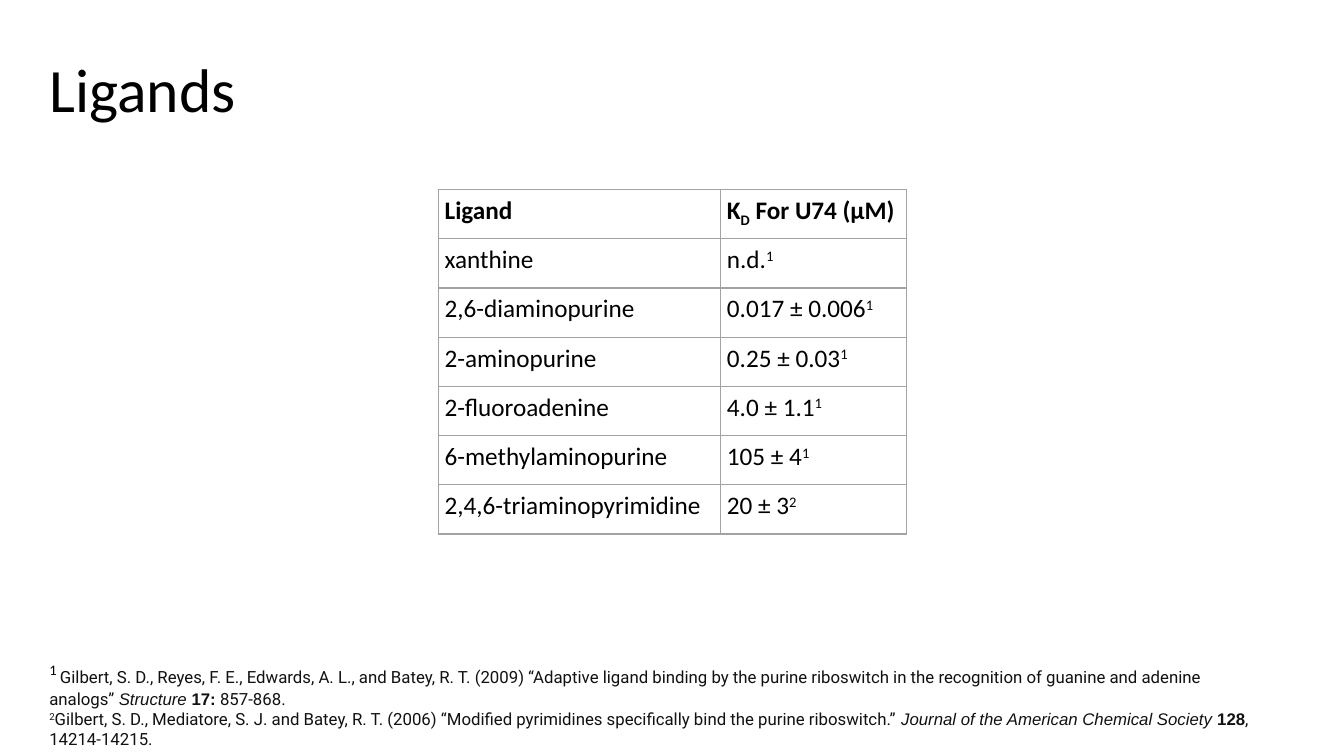
import pptx
import pptx.dml.color
import pptx.enum.text
import pptx.oxml
import pptx.oxml.ns
import pptx.util

Inches = pptx.util.Inches
Pt = pptx.util.Pt
RGBColor = pptx.dml.color.RGBColor

BLACK = RGBColor(0x00, 0x00, 0x00)
INK = RGBColor(0x11, 0x11, 0x11)
GRID = RGBColor(0xA3, 0xA3, 0xA3)
WHITE = RGBColor(0xFF, 0xFF, 0xFF)

LEFT = 0.39
COL_WIDTHS = (2.8, 1.84)
ROW_HEIGHT = 3.42 / 7
CELL_MARGIN = Inches(0.06)
SUPER, SUB = 30, -25

HEADER = ("Ligand", [("K", 0), ("D", SUB), (" For U74 (µM)", 0)])
LIGANDS = [
    ("xanthine", "n.d.", "1"),
    ("2,6-diaminopurine", "0.017 ± 0.006", "1"),
    ("2-aminopurine", "0.25 ± 0.03", "1"),
    ("2-fluoroadenine", "4.0 ± 1.1", "1"),
    ("6-methylaminopurine", "105 ± 4", "1"),
    ("2,4,6-triaminopyrimidine", "20 ± 3", "2"),
]
REFERENCES = [
    (
        ("1 ", 18, "Calibri", BLACK),
        "Gilbert, S. D., Reyes, F. E., Edwards, A. L., and Batey, R. T. (2009) “Adaptive ligand "
        "binding by the purine riboswitch in the recognition of guanine and adenine analogs” ",
        "Structure ", "17:", " 857-868.",
    ),
    (
        ("2", 12, "Roboto", INK),
        "Gilbert, S. D., Mediatore, S. J. and Batey, R. T. (2006) “Modified pyrimidines "
        "specifically bind the purine riboswitch.” ",
        "Journal of the American Chemical Society ", "128", ", 14214-14215.",
    ),
]


def add_run(p, text, size, font="Calibri", color=BLACK, bold=False, italic=False, baseline=0):
    r = p.add_run()
    r.text = text
    r.font.size = Pt(size)
    r.font.name = font
    r.font.color.rgb = color
    r.font.bold = bold
    r.font.italic = italic
    if baseline:
        r.font._element.set("baseline", str(baseline * 1000))


def place(sp, left, top, width, height):
    sp.left, sp.top = Inches(left), Inches(top)
    sp.width, sp.height = Inches(width), Inches(height)


def add_title(s, text):
    sp = s.shapes.title
    place(sp, LEFT, 0.19, 11.5, 1.45)
    tf = sp.text_frame
    tf.vertical_anchor = pptx.enum.text.MSO_ANCHOR.MIDDLE
    p = tf.paragraphs[0]
    p.alignment = pptx.enum.text.PP_ALIGN.LEFT
    p.line_spacing = 0.9
    add_run(p, text, 44)


def border_cell(cell):
    tc_pr = cell._tc.get_or_add_tcPr()
    for i, side in enumerate(("lnL", "lnR", "lnT", "lnB")):
        ln = pptx.oxml.parse_xml(
            f'<a:{side} {pptx.oxml.ns.nsdecls("a")} w="{Pt(1)}"><a:solidFill>'
            f'<a:srgbClr val="{GRID}"/></a:solidFill></a:{side}>'
        )
        tc_pr.insert(i, ln)


def fill_cell(cell, runs, bold):
    cell.fill.solid()
    cell.fill.fore_color.rgb = WHITE
    cell.margin_left = cell.margin_right = CELL_MARGIN
    cell.margin_top = cell.margin_bottom = CELL_MARGIN
    border_cell(cell)
    p = cell.text_frame.paragraphs[0]
    for text, baseline in runs:
        add_run(p, text, 18, bold=bold, baseline=baseline)


def add_ligand_table(s):
    rows = [HEADER] + [(name, [(kd, 0), (ref, SUPER)]) for name, kd, ref in LIGANDS]
    frame = s.shapes.add_table(
        len(rows), len(COL_WIDTHS), Inches(4.35), Inches(1.88),
        Inches(sum(COL_WIDTHS)), Inches(ROW_HEIGHT * len(rows)),
    )
    table = frame.table
    table.horz_banding = False
    for column, width in zip(table.columns, COL_WIDTHS):
        column.width = Inches(width)
    for i, (name, kd_runs) in enumerate(rows):
        table.rows[i].height = Inches(ROW_HEIGHT)
        fill_cell(table.cell(i, 0), [(name, 0)], i == 0)
        fill_cell(table.cell(i, 1), kd_runs, i == 0)


def add_references(s):
    sp = s.shapes.add_textbox(0, 0, 0, 0)
    place(sp, LEFT, 6.48, 12.32, 1.21)
    tf = sp.text_frame
    tf.word_wrap = True
    tf.auto_size = pptx.enum.text.MSO_AUTO_SIZE.SHAPE_TO_FIT_TEXT
    for i, (mark, citation, journal, volume, pages) in enumerate(REFERENCES):
        p = tf.add_paragraph() if i else tf.paragraphs[0]
        add_run(p, *mark, baseline=SUPER)
        add_run(p, citation, 12, "Roboto", INK)
        add_run(p, journal, 12, "Arial", INK, italic=True)
        add_run(p, volume, 12, "Arial", INK, bold=True)
        add_run(p, pages, 12, "Roboto", INK)


def main():
    prs = pptx.Presentation()
    prs.slide_width, prs.slide_height = Inches(13.33), Inches(7.5)
    s = prs.slides.add_slide(prs.slide_layouts[5])
    add_title(s, "Ligands")
    add_references(s)
    add_ligand_table(s)
    prs.save("out.pptx")


if __name__ == "__main__":
    main()
